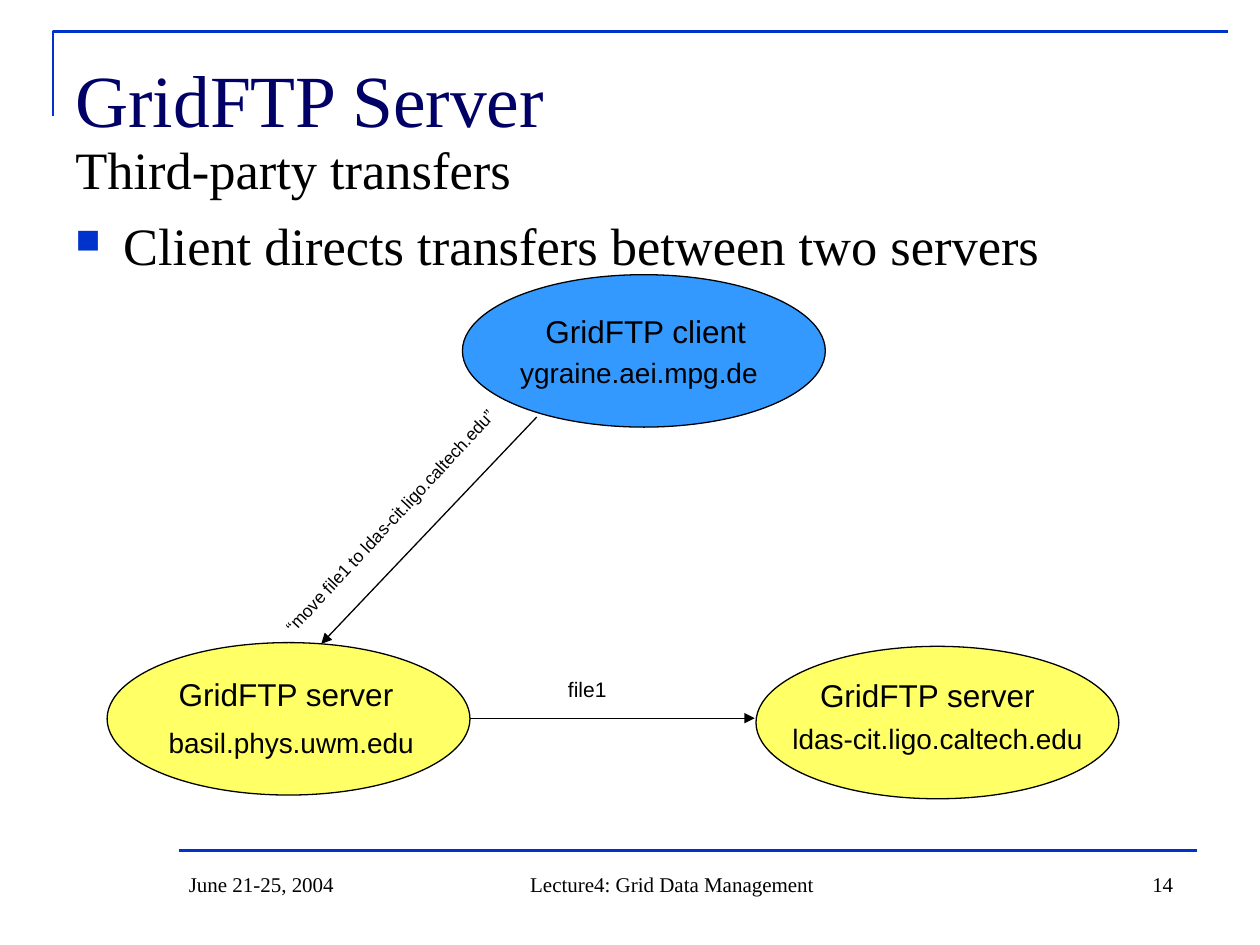
from lxml.etree import SubElement
from pptx import Presentation
from pptx.dml.color import RGBColor
from pptx.enum.shapes import MSO_CONNECTOR as Connector, MSO_SHAPE as Shape
from pptx.enum.text import MSO_ANCHOR as Anchor, PP_ALIGN as Align
from pptx.oxml.ns import qn
from pptx.util import Pt

PX = 9144
BLACK = RGBColor(0x00, 0x00, 0x00)
NAVY = RGBColor(0x00, 0x00, 0x66)
RULE_BLUE = RGBColor(0x00, 0x33, 0xCC)
CLIENT_BLUE = RGBColor(0x33, 0x99, 0xFF)
SERVER_YELLOW = RGBColor(0xFF, 0xFF, 0x66)
SERIF, SANS = "Times New Roman", "Arial"
HANGING = 38


def px(*lengths):
    return [length * PX for length in lengths]


def set_all(target, values):
    for name, value in values.items():
        setattr(target, name, value)


def style_line(line, color, width):
    line.color.rgb = color
    line.width = Pt(width)


def add_text(slide, box, lines, size, font=SANS, color=BLACK, paragraph=None, **frame_format):
    text_box = slide.shapes.add_textbox(*px(*box))
    frame = text_box.text_frame
    set_all(frame, {"word_wrap": True, **frame_format})
    frame.text = "\n".join(lines)
    for line in frame.paragraphs:
        set_all(line, paragraph or {})
        set_all(line.font, {"size": Pt(size), "name": font})
        line.font.color.rgb = color
    return text_box


def add_bullet(paragraph):
    properties = paragraph._p.get_or_add_pPr()
    color = SubElement(properties, qn("a:buClr"))
    SubElement(color, qn("a:srgbClr"), val=str(RULE_BLUE))
    SubElement(properties, qn("a:buSzPct"), val="65000")
    SubElement(properties, qn("a:buChar"), char="■")


def add_body(slide, box, heading, point):
    body = add_text(slide, box, [heading, point], 30, SERIF)
    first, second = body.text_frame.paragraphs
    for paragraph in (first, second):
        properties = paragraph._p.get_or_add_pPr()
        properties.set("marL", str(HANGING * PX))
        properties.set("indent", str(-HANGING * PX))
    add_bullet(second)
    second.space_before = Pt(7.5)


def add_line(slide, start, end, color, width, arrow=False):
    connector = slide.shapes.add_connector(Connector.STRAIGHT, *px(*start, *end))
    style_line(connector.line, color, width)
    if arrow:
        SubElement(connector.line._get_or_add_ln(), qn("a:tailEnd"), type="triangle")
    SubElement(connector._element.spPr, qn("a:effectLst"))


def add_corner_rule(slide):
    builder = slide.shapes.build_freeform(42, 92, scale=PX)
    builder.add_line_segments([(42, 25), (975, 25)], close=False)
    corner = builder.convert_to_shape()
    corner.shadow.inherit = False
    corner.fill.background()
    style_line(corner.line, RULE_BLUE, 1.5)


def add_host(slide, position, fill, role, role_box, address, address_box):
    ellipse = slide.shapes.add_shape(Shape.OVAL, *px(*position, 288, 121))
    ellipse.shadow.inherit = False
    ellipse.fill.solid()
    ellipse.fill.fore_color.rgb = fill
    style_line(ellipse.line, BLACK, 0.75)
    add_text(slide, address_box, [address], 16)
    add_text(slide, role_box, [role], 18)


def add_footer(slide):
    add_line(slide, (142, 675), (950, 675), RULE_BLUE, 1.5)
    for left, width, align, text in (
        (140, 227, Align.LEFT, "June 21-25, 2004"),
        (375, 317, Align.CENTER, "Lecture4: Grid Data Management"),
        (708, 233, Align.RIGHT, "14"),
    ):
        add_text(slide, (left, 683, width, 34), [text], 12, SERIF,
                 paragraph={"alignment": align}, vertical_anchor=Anchor.BOTTOM)


def main():
    deck = Presentation()
    deck.slide_width, deck.slide_height = px(1000, 750)
    slide = deck.slides.add_slide(deck.slide_layouts[6])

    add_corner_rule(slide)
    add_text(slide, (50, 30, 858, 95), ["GridFTP Server"], 42, SERIF, NAVY,
             vertical_anchor=Anchor.MIDDLE)
    add_body(slide, (50, 104, 900, 566), "Third-party transfers",
             "Client directs transfers between two servers")

    for host in (
        ((367, 218), CLIENT_BLUE, "GridFTP client", (423, 243, 201, 40),
         "ygraine.aei.mpg.de", (403, 277, 219, 37)),
        ((85, 510), SERVER_YELLOW, "GridFTP server", (132, 531, 201, 40),
         "basil.phys.uwm.edu", (124, 571, 219, 37)),
        ((600, 513), SERVER_YELLOW, "GridFTP server", (641, 532, 201, 40),
         "ldas-cit.ligo.caltech.edu", (619, 568, 265, 37)),
    ):
        add_host(slide, *host)

    add_line(slide, (426, 331), (255, 511), BLACK, 0.75, arrow=True)
    add_line(slide, (373, 570), (599, 570), BLACK, 0.75, arrow=True)
    command = add_text(slide, (182, 400, 255, 27),
                       ["“move file1 to ldas-cit.ligo.caltech.edu”"], 10, word_wrap=False)
    command.rotation = 312.9
    add_text(slide, (441, 532, 67, 30), ["file1"], 12)

    add_footer(slide)
    deck.save("out.pptx")


if __name__ == "__main__":
    main()
